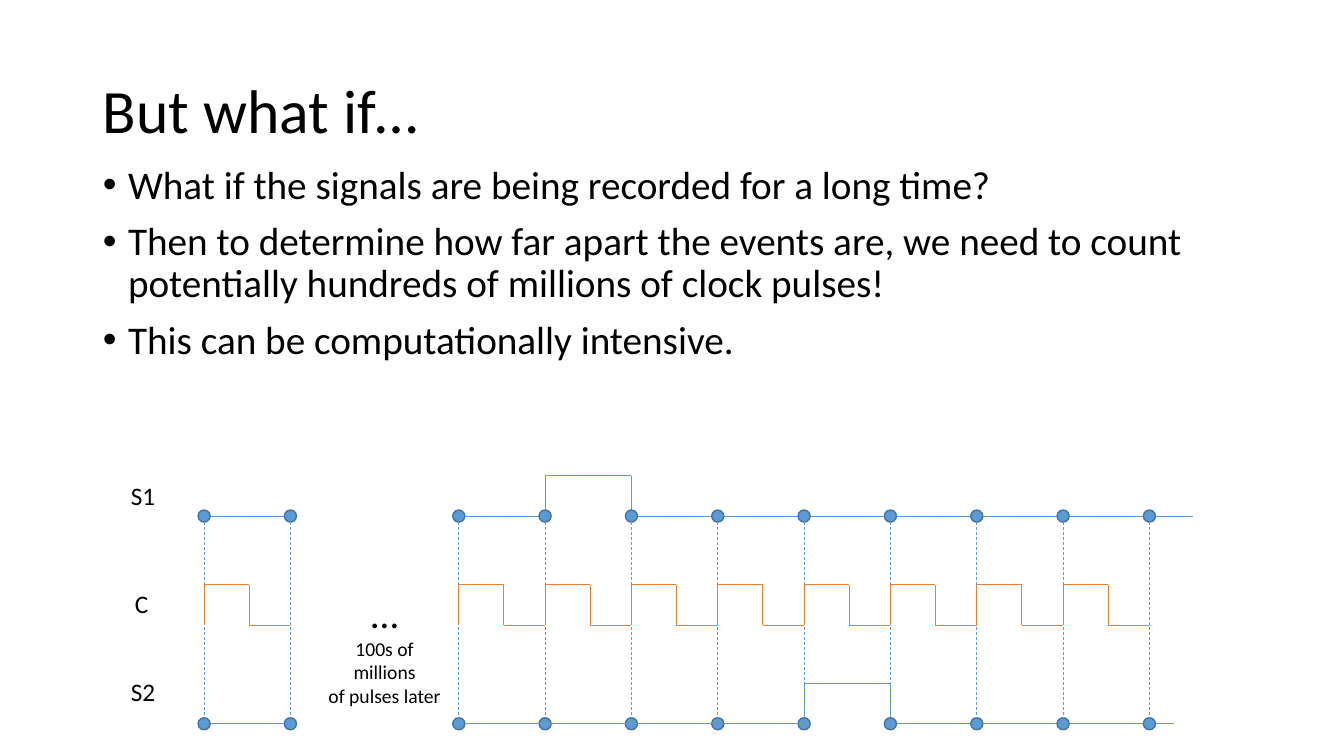
import itertools

import pptx
import pptx.dml.color
import pptx.enum.dml
import pptx.enum.shapes
import pptx.enum.text
import pptx.oxml.ns
import pptx.util
import lxml.etree

ALIGN = pptx.enum.text.PP_ALIGN
ANCHOR = pptx.enum.text.MSO_ANCHOR
FIT = pptx.enum.text.MSO_AUTO_SIZE
SHAPES = pptx.enum.shapes.MSO_SHAPE
BLUE, EDGE, GREEN, ORANGE = "5B9BD5", "43739E", "70AD47", "ED7D31"


def colour(code):
    """Turn a hex string into a colour."""
    return pptx.dml.color.RGBColor.from_string(code)


def apply(target, values):
    """Set every attribute named in a dict of format values."""
    for name, value in values.items():
        setattr(target, name, value)


class SignalPage:
    """Draw text in percent of the slide and signals in pulse columns and level rows."""

    FONT, INK = "Calibri", "000000"
    LEFT, TOP, COLUMN, ROW = 4.55, 5.12, 6.85 / 8, 0.4
    DOT = 0.12

    def __init__(self, deck):
        """Add a title and body page to the deck."""
        self.deck = deck
        self.page = deck.slides.add_slide(deck.slide_layouts[1])

    def place(self, column, row):
        """Return the slide position of a grid point."""
        return (pptx.util.Inches(self.LEFT + column * self.COLUMN),
                pptx.util.Inches(self.TOP + row * self.ROW))

    def share(self, left, top, width, height):
        """Return a frame given in percent of the slide's size."""
        wide, high = self.deck.slide_width, self.deck.slide_height
        return [int(part * full / 100) for part, full in
                zip((left, top, width, height), (wide, high, wide, high))]

    def fill_text(self, box, paragraphs, frame_format, para_format):
        """Fill a box with paragraphs, each a list of (text, size) lines."""
        frame = box.text_frame
        apply(frame, {"word_wrap": True, **frame_format})
        for index, lines in enumerate(paragraphs):
            para = frame.add_paragraph() if index else frame.paragraphs[0]
            apply(para, para_format)
            for number, (text, size) in enumerate(lines):
                if number:
                    para.add_line_break()
                span = para.add_run()
                span.text = text
                apply(span.font, {"name": self.FONT, "size": pptx.util.Pt(size)})
                span.font.color.rgb = colour(self.INK)

    def fill_placeholder(self, box, frame, paragraphs, anchor, space):
        """Move a template placeholder and fill it."""
        apply(box, dict(zip(("left", "top", "width", "height"), self.share(*frame))))
        self.fill_text(box, paragraphs,
                       {"auto_size": FIT.NONE, "vertical_anchor": anchor},
                       {"alignment": ALIGN.LEFT, "line_spacing": 0.9,
                        "space_before": pptx.util.Pt(space)})

    def title(self, text, frame):
        """Fill the title."""
        self.fill_placeholder(self.page.shapes.title, frame, [[(text, 44)]], ANCHOR.MIDDLE, 0)

    def bullets(self, texts, frame):
        """Fill the body with a bulleted list."""
        box = self.page.placeholders[1]
        self.fill_placeholder(box, frame, [[(text, 28)] for text in texts], ANCHOR.TOP, 10)
        indent = pptx.util.Inches(0.25)
        for para in box.text_frame.paragraphs:
            props = para._p.get_or_add_pPr()
            props.set("marL", str(indent))
            props.set("indent", str(-indent))
            bullet = lxml.etree.SubElement(props, pptx.oxml.ns.qn("a:buChar"))
            bullet.set("char", "•")

    def text(self, paragraphs, frame, alignment=ALIGN.LEFT):
        """Add a text box."""
        box = self.page.shapes.add_textbox(*self.share(*frame))
        self.fill_text(box, paragraphs, {"auto_size": FIT.SHAPE_TO_FIT_TEXT},
                       {"alignment": alignment})

    def trace(self, code, points, dash=None):
        """Join grid points by thin lines."""
        for start, end in itertools.pairwise(points):
            line = self.page.shapes.add_connector(
                pptx.enum.shapes.MSO_CONNECTOR.STRAIGHT, *self.place(*start), *self.place(*end))
            lxml.etree.SubElement(line._element.spPr, pptx.oxml.ns.qn("a:effectLst"))
            line.line.color.rgb = colour(code)
            apply(line.line, {"width": pptx.util.Pt(0.5), "dash_style": dash})

    def dot(self, column, row):
        """Mark a grid point with a dot."""
        size = pptx.util.Inches(self.DOT)
        x, y = self.place(column, row)
        shape = self.page.shapes.add_shape(SHAPES.OVAL, x - size // 2, y - size // 2, size, size)
        shape.shadow.inherit = False
        shape.fill.solid()
        shape.fill.fore_color.rgb = colour(BLUE)
        shape.line.color.rgb = colour(EDGE)
        shape.line.width = pptx.util.Pt(1)


def main():
    """Build the slide and save it."""
    deck = pptx.Presentation()
    apply(deck, {"slide_width": pptx.util.Inches(13.33), "slide_height": pptx.util.Inches(7.5)})
    page = SignalPage(deck)
    page.title("But what if…", (6.9, 5.33, 86.25, 19.33))
    page.bullets(["What if the signals are being recorded for a long time?",
                  "Then to determine how far apart the events are, we need to count "
                  "potentially hundreds of millions of clock pulses!",
                  "This can be computationally intensive."], (6.9, 21.2, 86.25, 63.47))
    for name, left, top in (("S1", 9, 62.93), ("C", 9.3, 77.2), ("S2", 9, 88.8)):
        page.text([[(name, 18)]], (left, top, 4.65, 5.33))

    first, clock, second = 0, 2.7, 5.15
    early = -2.95
    ticks = [early, early + 1, *range(9)]
    radius = page.DOT / 2 / page.ROW

    for code, row in ((BLUE, first), (GREEN, second)):
        page.trace(code, [(early, row), (early + 1, row)])
    for code, row, rise, end in ((BLUE, first, 1, 8.5), (GREEN, second, 4, 8.28)):
        page.trace(code, [(rise, row), (rise, row - 1), (rise + 1, row - 1),
                          (rise + 1, row), (end, row)])
    page.trace(BLUE, [(0, first), (1, first)])
    for row, tick in itertools.product((first, second), ticks):
        page.dot(tick, row)
    for tick in ticks:
        page.trace(BLUE, [(tick, first + radius), (tick, second - radius)],
                   pptx.enum.dml.MSO_LINE.DASH)
    for start in (early, *range(8)):
        fall = start + 0.52
        page.trace(ORANGE, [(start, clock), (start, clock - 1), (fall, clock - 1),
                            (fall, clock), (start + 1, clock)])
    page.trace(GREEN, [(0.07, second), (4, second)])
    page.text([[("…", 28), ("100s of millions", 14)], [("of pulses later", 14)]],
              (23.4, 77.33, 10.43, 17.07), ALIGN.CENTER)
    deck.save("out.pptx")


if __name__ == "__main__":
    main()
